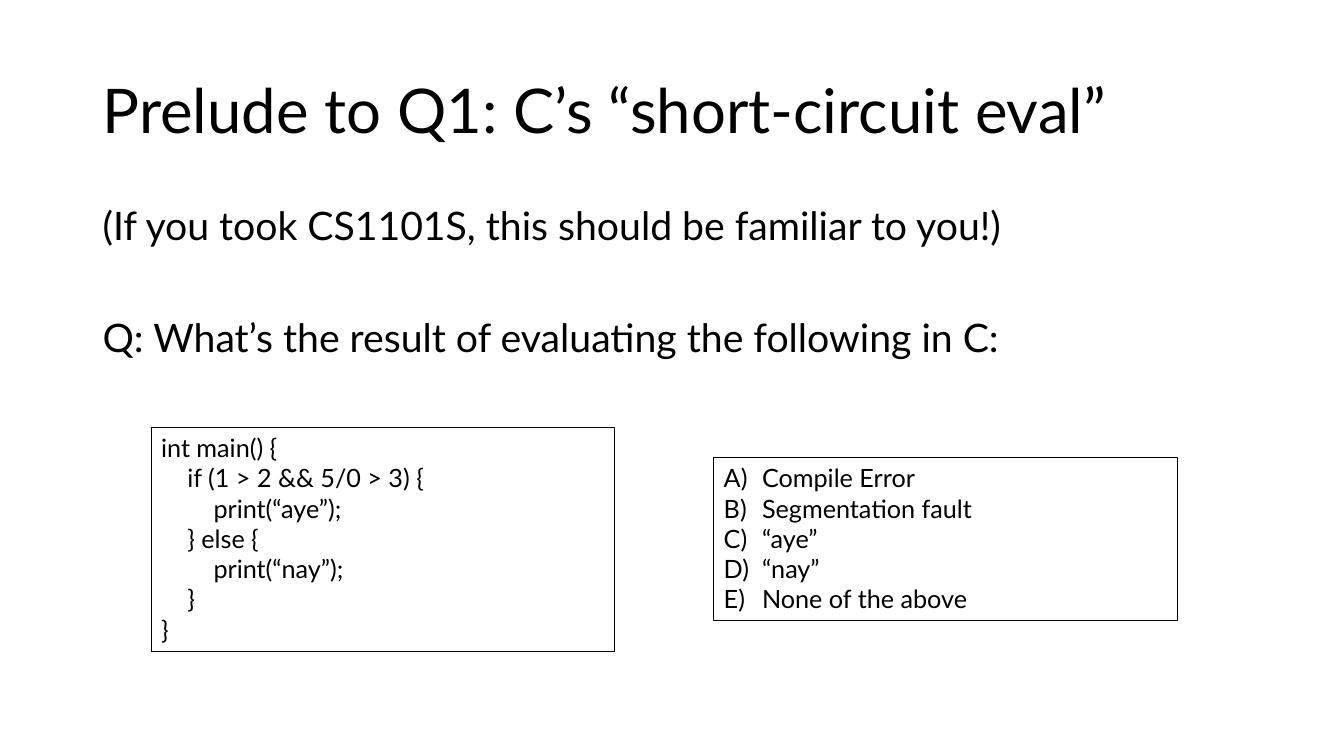
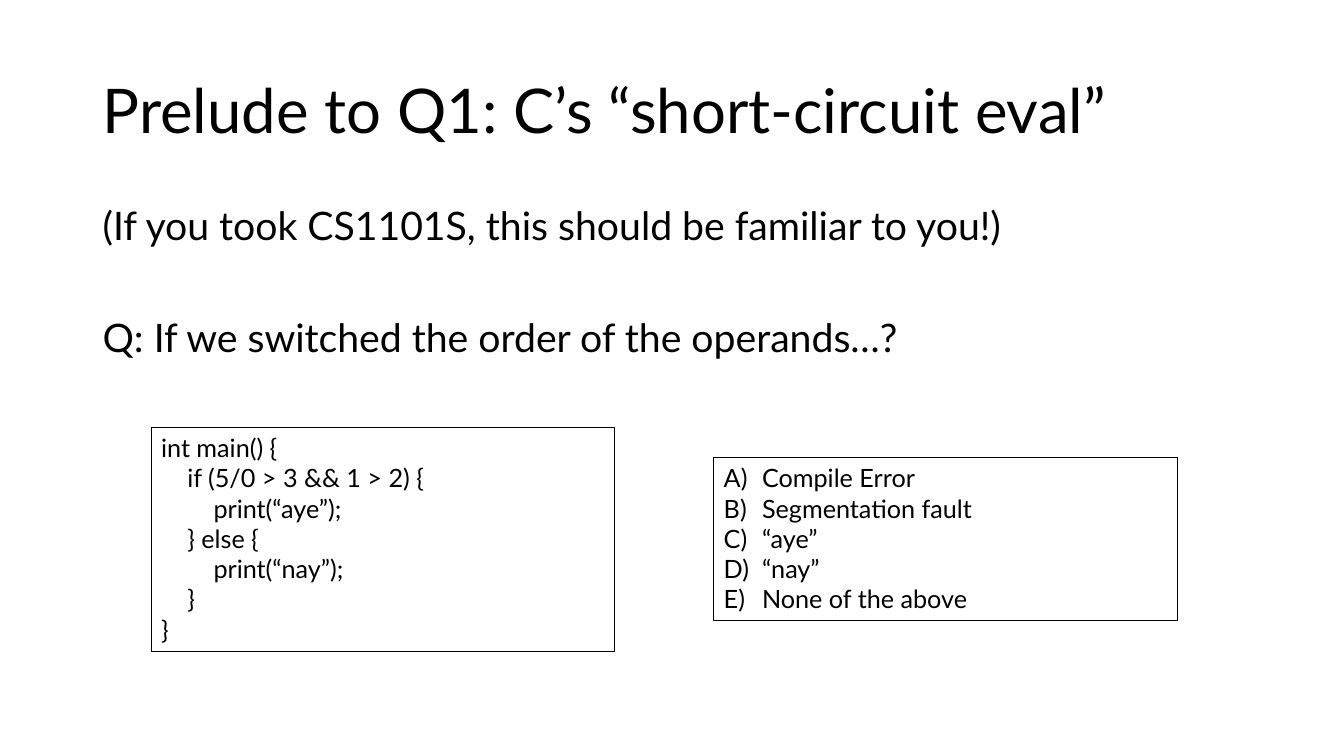
from pptx import Presentation
from pptx.dml.color import RGBColor
from pptx.enum import text
from pptx.oxml import xmlchemy
from pptx.util import Inches, Pt

BLACK = RGBColor(0, 0, 0)
FONT = "Lato"
MARGIN, CONTENT_WIDTH = 0.92, 11.5
PANEL_WIDTH = 4.6
CODE_INDENT = 0.26
OPTION_INDENT = 0.38

TITLE = "Prelude to Q1: C’s “short-circuit eval”"
INTRO = "(If you took CS1101S, this should be familiar to you!)"
OPTIONS = ["Compile Error", "Segmentation fault", "“aye”", "“nay”", "None of the above"]
QUESTIONS = [
    ("Q: What’s the result of evaluating the following in C:", "1 > 2 && 5/0 > 3"),
    ("Q: If we switched the order of the operands…?", "5/0 > 3 && 1 > 2"),
]


def add_text(slide, left, top, width, height, lines, size):
    area = slide.shapes.add_textbox(Inches(left), Inches(top), Inches(width), Inches(height))
    frame = area.text_frame
    frame.word_wrap = True
    for number, line in enumerate(lines):
        paragraph = frame.paragraphs[0] if number == 0 else frame.add_paragraph()
        run = paragraph.add_run()
        run.text = line
        run.font.name = FONT
        run.font.size = Pt(size)
        run.font.color.rgb = BLACK
    return area


def set_indent(paragraph, left, first=0):
    properties = paragraph._p.get_or_add_pPr()
    properties.set("marL", str(Inches(left)))
    properties.set("indent", str(Inches(first)))
    return properties


def add_title(slide):
    frame = add_text(slide, MARGIN, 0.4, CONTENT_WIDTH, 1.45, [TITLE], 44).text_frame
    frame.vertical_anchor = text.MSO_ANCHOR.MIDDLE
    frame.paragraphs[0].line_spacing = 0.9


def add_body(slide, question):
    body = add_text(slide, MARGIN, 2, CONTENT_WIDTH, 4.76, [INTRO, question], 28)
    for paragraph, space in zip(body.text_frame.paragraphs, (10, 50)):
        paragraph.line_spacing = 0.9
        paragraph.space_before = Pt(space)


def add_panel(slide, left, top, height, lines):
    panel = add_text(slide, left, top, PANEL_WIDTH, height, lines, 18)
    panel.line.color.rgb = BLACK
    panel.line.width = Pt(0.75)
    panel.text_frame.auto_size = text.MSO_AUTO_SIZE.SHAPE_TO_FIT_TEXT
    return panel.text_frame.paragraphs


def add_code(slide, condition):
    code = [
        (0, "int main() {"),
        (1, f"if ({condition}) {{"),
        (2, "print(“aye”);"),
        (1, "} else {"),
        (2, "print(“nay”);"),
        (1, "}"),
        (0, "}"),
    ]
    paragraphs = add_panel(slide, 1.5, 4.24, 2.22, [line for _, line in code])
    for paragraph, (level, _) in zip(paragraphs, code):
        set_indent(paragraph, level * CODE_INDENT)


def add_options(slide):
    for paragraph in add_panel(slide, 7.08, 4.54, 1.62, OPTIONS):
        properties = set_indent(paragraph, OPTION_INDENT, -OPTION_INDENT)
        numbering = xmlchemy.OxmlElement("a:buAutoNum")
        numbering.set("type", "alphaUcParenR")
        properties.append(numbering)


def main():
    deck = Presentation()
    deck.slide_width, deck.slide_height = Inches(13.33), Inches(7.5)
    for question, condition in QUESTIONS:
        slide = deck.slides.add_slide(deck.slide_layouts[6])
        add_title(slide)
        add_body(slide, question)
        add_code(slide, condition)
        add_options(slide)
    deck.save("out.pptx")


if __name__ == "__main__":
    main()
